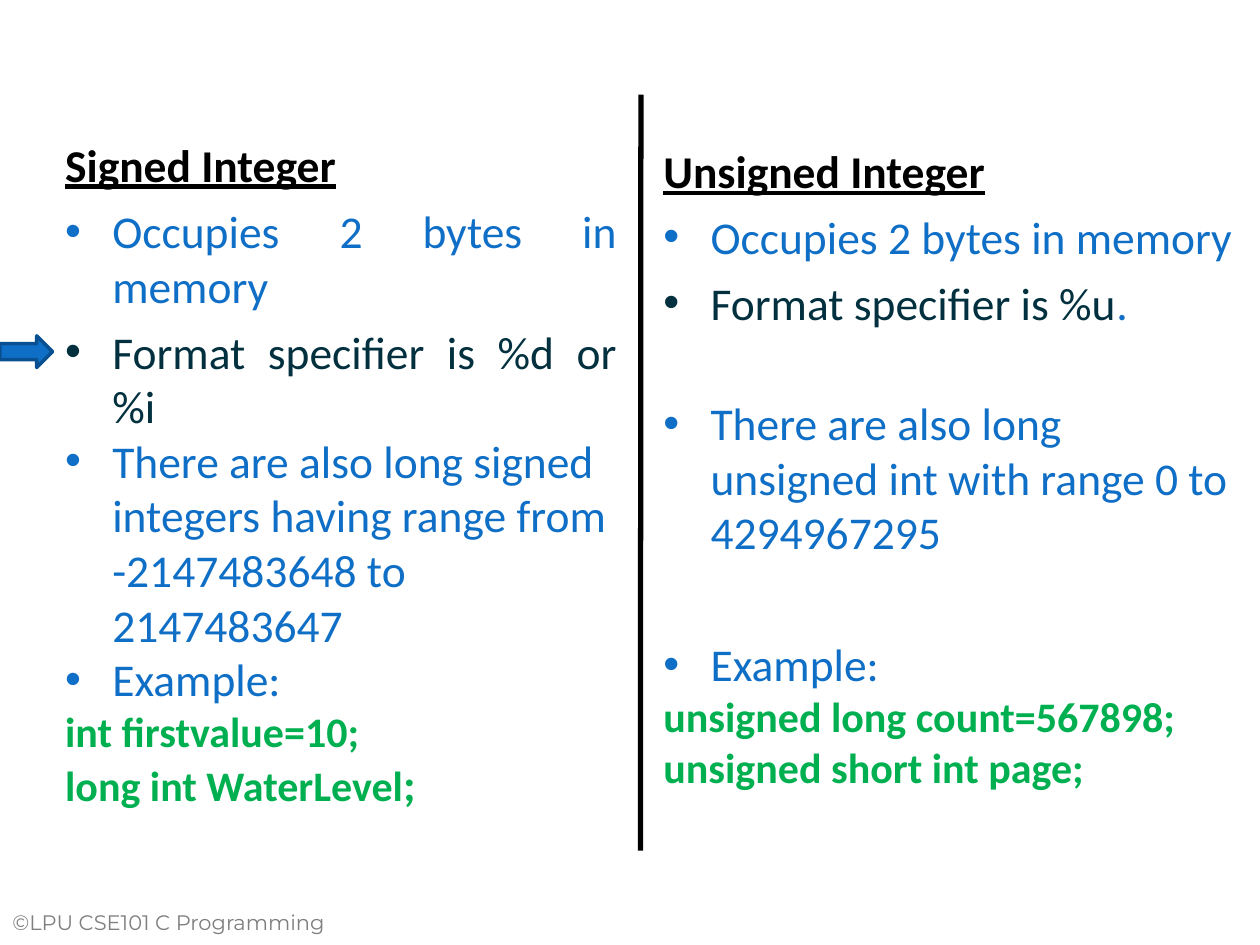
import pptx
import pptx.util
import pptx.dml.color
import pptx.enum.shapes
import pptx.enum.text
import pptx.oxml.ns
from lxml import etree

Cm, Pt = pptx.util.Cm, pptx.util.Pt
qn = pptx.oxml.ns.qn
ALIGN = pptx.enum.text.PP_ALIGN
HUES = {"blue": "0F6FC6", "edge": "085091", "dark": "02303E", "code": "00B050",
        "black": "000000", "white": "FFFFFF", "grey": "7F7F7F"}
HANG = Cm(0.95)
SIGNED = [
    ("Signed Integer", "head", "black", 0, True),
    ("Occupies 2 bytes in memory", "point", "blue", 6.5, True),
    ("Format specifier is %d or %i", "point", "dark", 6.5, True),
    ("There are also long signed integers having range from "
     "-2147483648 to 2147483647", "point", "blue", 0, False),
    ("Example:", "point", "blue", 0, False),
    ("int firstvalue=10;", "code", "code", 0, False),
    ("long int WaterLevel", "code", "code", 0, True),
]
UNSIGNED = [
    ("Unsigned Integer", "head", "black", 0, False),
    ("Occupies 2 bytes in memory", "point", "blue", 6.5, False),
    ("Format specifier is %u", "point", "dark", 6.5, False),
    ("There are also long\vunsigned int with range 0 to 4294967295",
     "point", "blue", 37.7, False),
    ("Example:", "point", "blue", 44.2, False),
    ("unsigned long count=567898;", "code", "code", 0, False),
    ("unsigned short int page;", "code", "code", 0, False),
]


def tint(name):
    """Return the named colour."""
    return pptx.dml.color.RGBColor.from_string(HUES[name])


def style(run, size, hue, face="Calibri", bold=False, under=False):
    """Format one run of text."""
    font = run.font
    font.name, font.size = face, Pt(size)
    font.bold, font.underline = bold, under
    font.color.rgb = tint(hue)


def indent(para, hue, dot):
    """Give a paragraph a hanging indent, with or without a bullet."""
    props = para._p.get_or_add_pPr()
    props.set("marL", str(HANG))
    props.set("indent", str(-HANG))
    if dot:
        clr = etree.SubElement(props, qn("a:buClr"))
        etree.SubElement(clr, qn("a:srgbClr"), val=HUES[hue])
        etree.SubElement(props, qn("a:buChar"), char="•")
    else:
        etree.SubElement(props, qn("a:buNone"))


def fill_list(body, box, rows):
    """Place a body placeholder and write its list."""
    body.left, body.top, body.width, body.height = map(Cm, box)
    body.fill.solid()
    body.fill.fore_color.rgb = tint("white")
    frame = body.text_frame
    frame.auto_size = pptx.enum.text.MSO_AUTO_SIZE.NONE
    for num, (text, kind, hue, gap, just) in enumerate(rows):
        para = frame.add_paragraph() if num else frame.paragraphs[0]
        para.text = text
        indent(para, hue, kind == "point")
        para.alignment = ALIGN.JUSTIFY if just else ALIGN.LEFT
        para.space_before, para.line_spacing = Pt(gap), 1.0
        size = 24 if kind == "code" else 26
        for run in para.runs:
            style(run, size, hue, bold=kind != "point", under=kind == "head")
        for brk in para._p.findall(qn("a:br")):
            etree.SubElement(brk, qn("a:rPr"), sz=str(size * 100))
    return frame


def add_tail(para, text, hue, bold):
    """End a paragraph with a run of its own format."""
    run = para.add_run()
    run.text = text
    style(run, 26, hue, bold=bold)


def add_foot(slide, text):
    """Add the footer line."""
    box = slide.shapes.add_textbox(Cm(0), Cm(18.21), Cm(7.62), Cm(1.07))
    box.text_frame.word_wrap = True
    box.text_frame.text = text
    style(box.text_frame.paragraphs[0].runs[0], 12, "grey", "Montserrat")


def add_arrow(slide):
    """Add the block arrow that marks a point."""
    kind = pptx.enum.shapes.MSO_SHAPE.RIGHT_ARROW
    arrow = slide.shapes.add_shape(kind, Cm(0), Cm(6.77), Cm(1.06), Cm(0.64))
    arrow.shadow.inherit = False
    arrow.fill.solid()
    arrow.fill.fore_color.rgb = tint("blue")
    arrow.line.color.rgb = tint("edge")
    arrow.line.width = Pt(2)


def add_rule(slide):
    """Add the line between the two lists."""
    kind = pptx.enum.shapes.MSO_CONNECTOR.STRAIGHT
    rule = slide.shapes.add_connector(kind, Cm(12.91), Cm(17.15), Cm(12.92), Cm(1.91))
    rule.line.color.rgb = tint("black")
    rule.line.width = Pt(3)
    etree.SubElement(rule._element.spPr, qn("a:effectLst"))


def main():
    """Build the slide and save it."""
    deck = pptx.Presentation()
    deck.slide_width, deck.slide_height = Cm(25.4), Cm(19.05)
    slide = deck.slides.add_slide(deck.slide_layouts[3])
    title, left, right = slide.placeholders
    title._element.getparent().remove(title._element)
    add_foot(slide, "©LPU CSE101 C Programming")
    frame = fill_list(left, (1.06, 2.75, 11.64, 14.28), SIGNED)
    frame.paragraphs[0].line_spacing = 0.9
    add_tail(frame.paragraphs[-1], ";", "code", True)
    frame = fill_list(right, (13.12, 2.75, 12.28, 14.18), UNSIGNED)
    add_tail(frame.paragraphs[2], ".", "blue", False)
    add_arrow(slide)
    add_rule(slide)
    deck.save("out.pptx")


if __name__ == "__main__":
    main()
